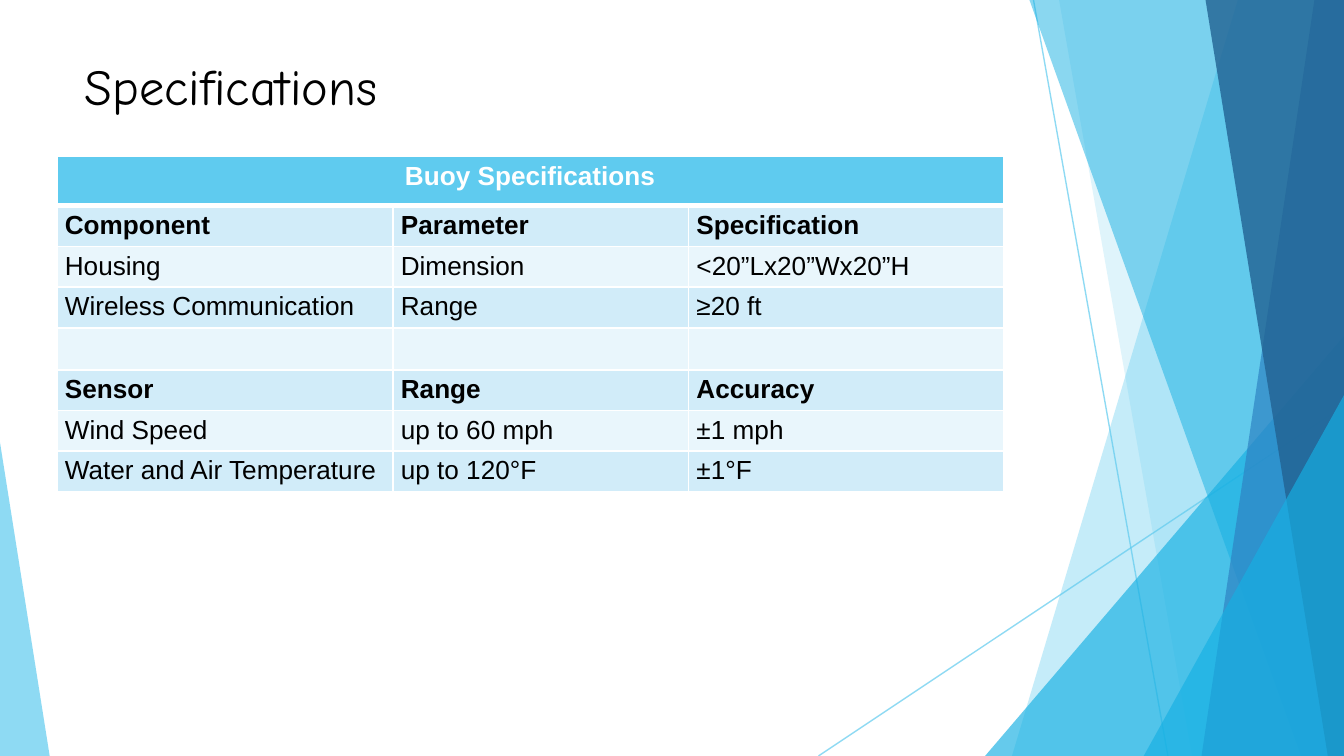
from dataclasses import dataclass

from lxml.etree import SubElement
from pptx import Presentation
from pptx.dml.color import RGBColor
from pptx.enum.shapes import MSO_CONNECTOR, MSO_SHAPE
from pptx.enum.text import MSO_ANCHOR, MSO_AUTO_SIZE, PP_ALIGN
from pptx.oxml.ns import qn
from pptx.util import Pt

EMU_PER_PX = 2286
WIDTH, HEIGHT = 4000, 2250


@dataclass(frozen=True)
class Theme:
    sky: str = "5FCBEF"
    cyan: str = "16B0E3"
    blue: str = "2E83C3"
    navy: str = "226292"
    band_dark: str = "D1ECF9"
    band_light: str = "E9F6FC"
    white: str = "FFFFFF"
    black: str = "000000"
    title_font: str = "Comic Neue"
    body_font: str = "Arial"
    title_size: int = 27
    body_size: int = 14


def px(length):
    return length * EMU_PER_PX


def write_text(frame, text, *, font, size, color, bold=False,
               align=PP_ALIGN.LEFT):
    para = frame.paragraphs[0]
    para.alignment = align
    if not text:
        SubElement(para._p, qn("a:endParaRPr"), sz=str(size * 100))
        return
    span = para.add_run()
    span.text = text
    span.font.name = font
    span.font.size = Pt(size)
    span.font.bold = bold
    span.font.color.rgb = RGBColor.from_string(color)


def set_opacity(fill_parent, percent):
    color = next(fill_parent.iter(qn("a:srgbClr")))
    SubElement(color, qn("a:alpha"), val=str(percent * 1000))


class SlideBuilder:
    def __init__(self, page, theme):
        self.page = page
        self.theme = theme

    def paint(self, shape, color, opacity):
        shape.shadow.inherit = False
        shape.fill.solid()
        shape.fill.fore_color.rgb = RGBColor.from_string(color)
        set_opacity(shape._element.spPr, opacity)
        shape.line.fill.background()

    def line(self, start, end, color, opacity):
        connector = self.page.shapes.add_connector(
            MSO_CONNECTOR.STRAIGHT, *map(px, start + end))
        connector.line.width = Pt(0.75)
        connector.line.color.rgb = RGBColor.from_string(color)
        properties = connector._element.spPr
        set_opacity(properties, opacity)
        SubElement(properties, qn("a:effectLst"))

    def ray(self, top_left, bottom_left, color, opacity):
        outline = self.page.shapes.build_freeform(
            top_left, 0, scale=EMU_PER_PX)
        outline.add_line_segments(
            [(WIDTH, 0), (WIDTH, HEIGHT), (bottom_left, HEIGHT)], close=True)
        self.paint(outline.convert_to_shape(), color, opacity)

    def corner(self, left, top, width, peak, color, opacity):
        triangle = self.page.shapes.add_shape(
            MSO_SHAPE.ISOSCELES_TRIANGLE,
            *map(px, (left, top, width, HEIGHT - top)))
        triangle.adjustments[0] = peak
        self.paint(triangle, color, opacity)

    def title(self, text, left, top, width, height):
        box = self.page.shapes.title
        box.left, box.top, box.width, box.height = map(
            px, (left, top, width, height))
        frame = box.text_frame
        frame.auto_size = MSO_AUTO_SIZE.NONE
        frame.vertical_anchor = MSO_ANCHOR.TOP
        frame.margin_left = frame.margin_right = px(28)
        frame.margin_top = frame.margin_bottom = px(16)
        write_text(frame, text, font=self.theme.title_font,
                   size=self.theme.title_size, color=self.theme.black)

    def cell_borders(self, cell, bottom):
        properties = cell._tc.get_or_add_tcPr()
        widths = {"a:lnL": 1, "a:lnR": 1, "a:lnT": 1, "a:lnB": bottom}
        for position, (tag, width) in enumerate(widths.items()):
            border = SubElement(properties, qn(tag), w=str(Pt(width)))
            fill = SubElement(border, qn("a:solidFill"))
            SubElement(fill, qn("a:srgbClr"), val=self.theme.white)
            properties.insert(position, border)

    def table(self, rows, bold_rows, left, top, columns, heights):
        theme = self.theme
        table = self.page.shapes.add_table(
            len(rows), len(columns),
            *map(px, (left, top, sum(columns), sum(heights)))).table
        for column, width in zip(table.columns, columns):
            column.width = px(width)
        for row, height in zip(table.rows, heights):
            row.height = px(height)
        table.cell(0, 0).merge(table.cell(0, len(columns) - 1))
        for row_number, texts in enumerate(rows):
            header = row_number == 0
            band = theme.band_dark if row_number % 2 else theme.band_light
            for column_number, text in enumerate(texts):
                cell = table.cell(row_number, column_number)
                cell.margin_left = cell.margin_right = px(24)
                cell.margin_top = cell.margin_bottom = px(15)
                cell.fill.solid()
                cell.fill.fore_color.rgb = RGBColor.from_string(
                    theme.sky if header else band)
                self.cell_borders(cell, bottom=3 if header else 1)
                write_text(cell.text_frame, text, font=theme.body_font,
                           size=theme.body_size,
                           color=theme.white if header else theme.black,
                           bold=row_number in bold_rows,
                           align=PP_ALIGN.CENTER if header else PP_ALIGN.LEFT)


def main():
    theme = Theme()
    deck = Presentation()
    deck.slide_width, deck.slide_height = px(WIDTH), px(HEIGHT)
    page = deck.slides.add_slide(deck.slide_layouts[5])
    builder = SlideBuilder(page, theme)

    builder.line((3076, 0), (3476, HEIGHT), theme.sky, 70)
    builder.line((WIDTH, 1208), (2436, HEIGHT), theme.sky, 70)
    builder.ray(3684, 3012, theme.sky, 36)
    builder.ray(3152, 3548, theme.sky, 20)
    builder.corner(2932, 1000, 1068, 1, theme.cyan, 66)
    builder.ray(3064, 3872, theme.cyan, 50)
    builder.ray(3912, 3576, theme.blue, 70)
    builder.ray(3588, 3952, theme.navy, 80)
    builder.corner(3404, 1176, 596, 1, theme.cyan, 66)
    builder.corner(0, 1316, 148, 0, theme.sky, 70)

    builder.title("Specifications", 224, 148, 3448, 252)
    rows = [
        ("Buoy Specifications", "", ""),
        ("Component", "Parameter", "Specification"),
        ("Housing", "Dimension", "<20”Lx20”Wx20”H"),
        ("Wireless Communication", "Range", "≥20 ft"),
        ("", "", ""),
        ("Sensor", "Range", "Accuracy"),
        ("Wind Speed", "up to 60 mph", "±1 mph"),
        ("Water and Air Temperature", "up to 120°F", "±1°F"),
    ]
    builder.table(rows, {0, 1, 5}, 169, 465, (1000, 880, 938),
                  [148] + [121] * (len(rows) - 1))
    deck.save("out.pptx")


if __name__ == "__main__":
    main()
